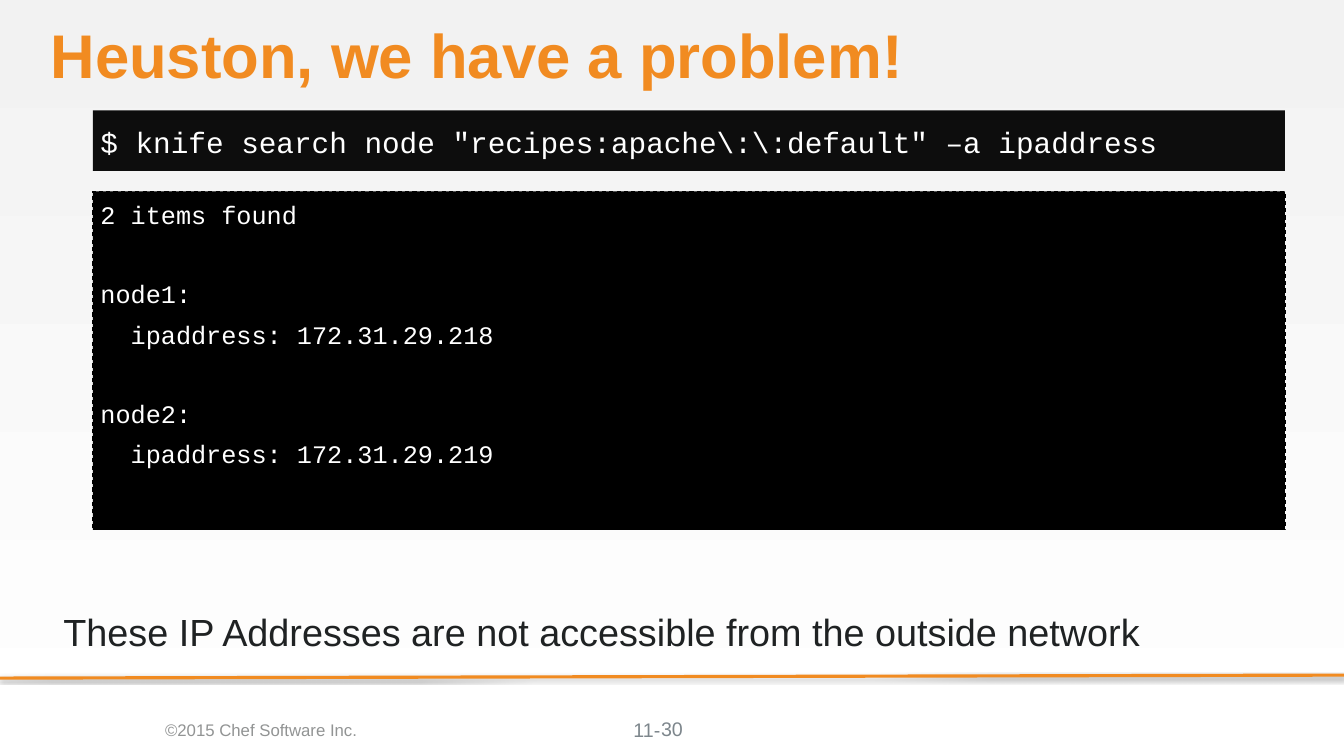
from dataclasses import dataclass

from lxml import etree
from pptx import Presentation, util as u
from pptx.dml.color import RGBColor
from pptx.enum import dml, shapes, text
from pptx.oxml import ns

TITLE = "Heuston, we have a problem!"
COMMAND = '$ knife search node "recipes:apache\\:\\:default" –a ipaddress'
OUTPUT = [
    ["2 items found"],
    ["node1:", "  ipaddress: 172.31.29.218"],
    ["node2:", "  ipaddress: 172.31.29.219"],
]
TAKEAWAY = "These IP Addresses are not accessible from the outside network"
COPYRIGHT = "©2015 Chef Software Inc."
CHAPTER, PAGE = "11-", "30"

WIDTH, HEIGHT = 17.78, 10
TERMINAL_LEFT, TERMINAL_WIDTH = 1.23, 15.77
RULE_LEFT_Y, RULE_RIGHT_Y = 8.97, 8.93


@dataclass(frozen=True)
class Theme:
    sans: str = "Arial"
    mono: str = "Courier New"
    orange: str = "F18B21"
    ink: str = "1F2223"
    grey: str = "929494"
    slate: str = "7D868C"
    white: str = "FFFFFF"
    black: str = "000000"
    prompt: str = "0D0D0D"
    haze: str = "F2F2F2"
    title: float = 58.7
    takeaway: float = 36
    command: float = 28
    output: float = 24
    page: float = 18.7
    copyright: float = 16
    output_gap: float = 9.6
    output_pitch: float = 36.8


THEME = Theme()
TOP, MIDDLE = text.MSO_ANCHOR.TOP, text.MSO_ANCHOR.MIDDLE
LEFT, CENTER = text.PP_ALIGN.LEFT, text.PP_ALIGN.CENTER
NO_INSETS = (0, 0, 0, 0)
INSETS = (0.1, 0.05, 0.1, 0.05)


def rgb(colour):
    return RGBColor.from_string(colour)


def child(parent, tag, **attributes):
    return etree.SubElement(parent, ns.qn(tag), attributes)


def write(holder, lines, size, colour, font=THEME.sans, bold=False,
          align=LEFT, anchor=TOP, insets=INSETS):
    frame = holder.text_frame
    frame.word_wrap = True
    frame.vertical_anchor = anchor
    (frame.margin_left, frame.margin_top,
     frame.margin_right, frame.margin_bottom) = map(u.Inches, insets)
    frame.text = "\n".join(lines)
    for paragraph in frame.paragraphs:
        paragraph.alignment = align
        paragraph.font.name = font
        paragraph.font.size = u.Pt(size)
        paragraph.font.bold = bold
        paragraph.font.color.rgb = rgb(colour)
    return frame.paragraphs


def label(slide, box, *args, **kwargs):
    return write(slide.shapes.add_textbox(*map(u.Inches, box)), *args, **kwargs)


def terminal(slide, top, height, fill):
    panel = slide.shapes.add_shape(
        shapes.MSO_SHAPE.RECTANGLE,
        *map(u.Inches, (TERMINAL_LEFT, top, TERMINAL_WIDTH, height)))
    panel.shadow.inherit = False
    panel.fill.solid()
    panel.fill.fore_color.rgb = rgb(fill)
    panel.line.fill.background()
    return panel


def paint_background(slide):
    fill = slide.background.fill
    fill.gradient()
    fill.gradient_angle = 270
    for stop, colour, position in zip(
            fill.gradient_stops, (THEME.haze, THEME.white), (0, 1)):
        stop.color.rgb = rgb(colour)
        stop.position = position


def add_rule(slide):
    rule = slide.shapes.add_connector(
        shapes.MSO_CONNECTOR.STRAIGHT,
        *map(u.Inches, (WIDTH, RULE_RIGHT_Y, 0, RULE_LEFT_Y)))
    rule.line.color.rgb = rgb(THEME.orange)
    rule.line.width = u.Pt(3)
    effects = child(rule._element.spPr, "a:effectLst")
    shadow = child(effects, "a:outerShdw", blurRad=str(u.Pt(3.1)),
                   dist=str(u.Pt(1.8)), dir="5400000", rotWithShape="0")
    child(child(shadow, "a:srgbClr", val=THEME.black), "a:alpha", val="35000")


def add_output(slide):
    panel = terminal(slide, 2.53, 4.48, THEME.black)
    panel.line.color.rgb = rgb(THEME.black)
    panel.line.width = u.Pt(1)
    panel.line.dash_style = dml.MSO_LINE.DASH
    lines = [line for group in OUTPUT for line in group]
    starts = [group[0] for group in OUTPUT]
    paragraphs = write(panel, lines, THEME.output, THEME.white, THEME.mono,
                       insets=(0.1, 0.11, 0.1, 0.05))
    for paragraph in paragraphs[1:]:
        blank = THEME.output_pitch if paragraph.text in starts else 0
        paragraph.space_before = u.Pt(THEME.output_gap + blank)


def add_takeaway(slide):
    box = slide.shapes.add_textbox(*map(u.Inches, (0.74, 7.64, 16.29, 1.42)))
    properties = box.text_frame.paragraphs[0]._p.get_or_add_pPr()
    indent = u.Inches(0.31)
    properties.set("marL", str(indent))
    properties.set("indent", str(-indent))
    child(properties, "a:buFont", typeface=THEME.sans)
    child(properties, "a:buChar", char="•")
    write(box, [TAKEAWAY], THEME.takeaway, THEME.ink, anchor=MIDDLE)


def main():
    deck = Presentation()
    deck.slide_width, deck.slide_height = u.Inches(WIDTH), u.Inches(HEIGHT)
    slide = deck.slides.add_slide(deck.slide_layouts[6])
    paint_background(slide)
    add_rule(slide)
    label(slide, (8.34, 9.49, 0.8, 0.31), [CHAPTER], THEME.page, THEME.slate,
          insets=(0.04, 0, 0, 0))
    add_output(slide)
    title = label(slide, (0.67, 0.33, 16.33, 0.91), [TITLE], THEME.title,
                  THEME.orange, bold=True, insets=NO_INSETS)
    title[0].line_spacing = 0.9
    write(terminal(slide, 1.46, 0.8, THEME.prompt), [COMMAND], THEME.command,
          THEME.white, THEME.mono, anchor=MIDDLE, insets=(0.1, 0.04, 0, 0))
    label(slide, (0.35, 9.38, 6.21, 0.56), [COPYRIGHT], THEME.copyright,
          THEME.grey, align=CENTER, anchor=MIDDLE)
    label(slide, (6.89, 9.38, 4, 0.53), [PAGE], THEME.page, THEME.slate,
          align=CENTER, anchor=MIDDLE)
    add_takeaway(slide)
    deck.save("out.pptx")


if __name__ == "__main__":
    main()
